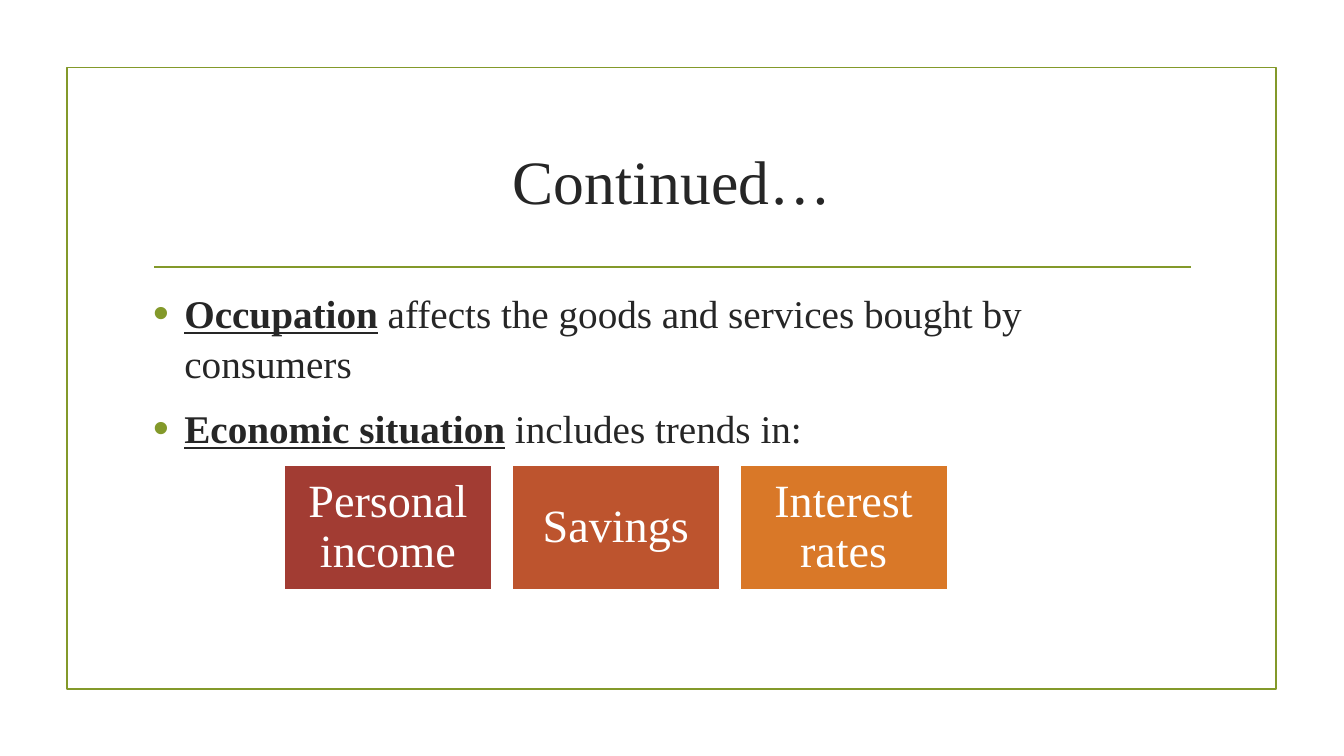
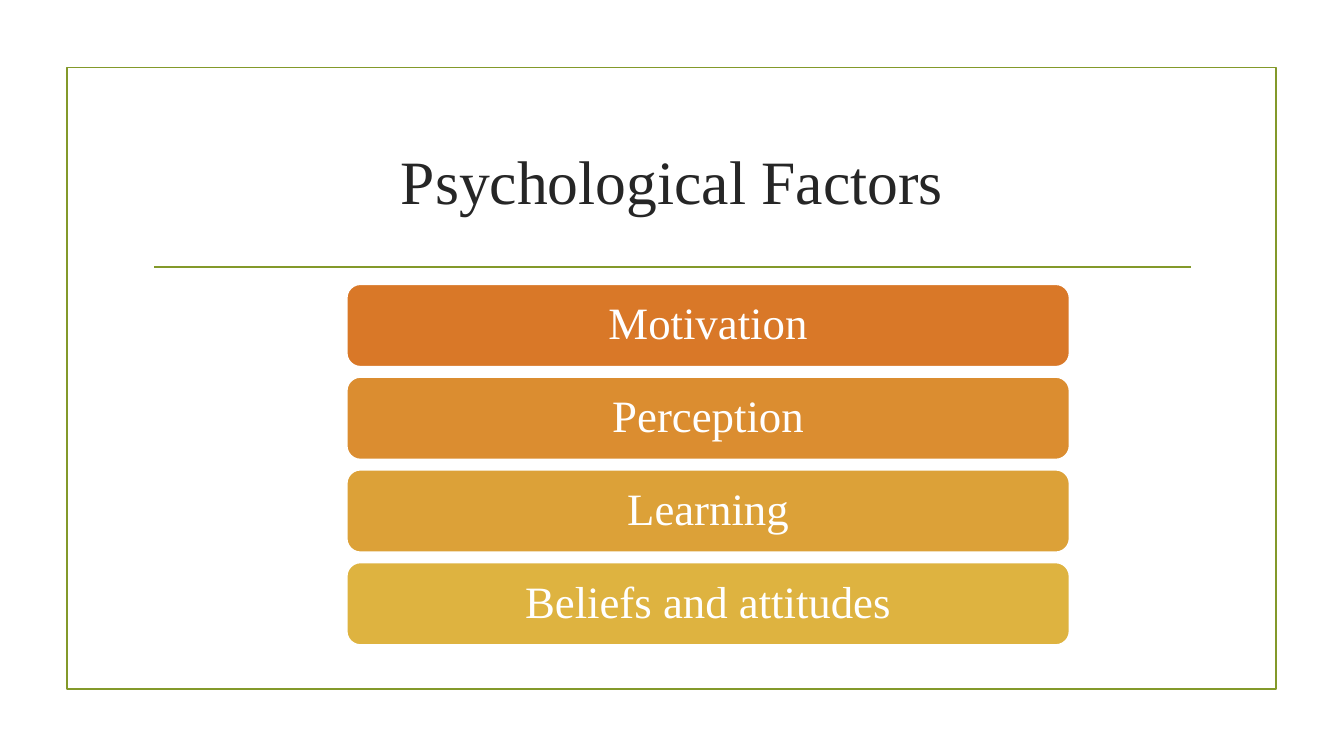
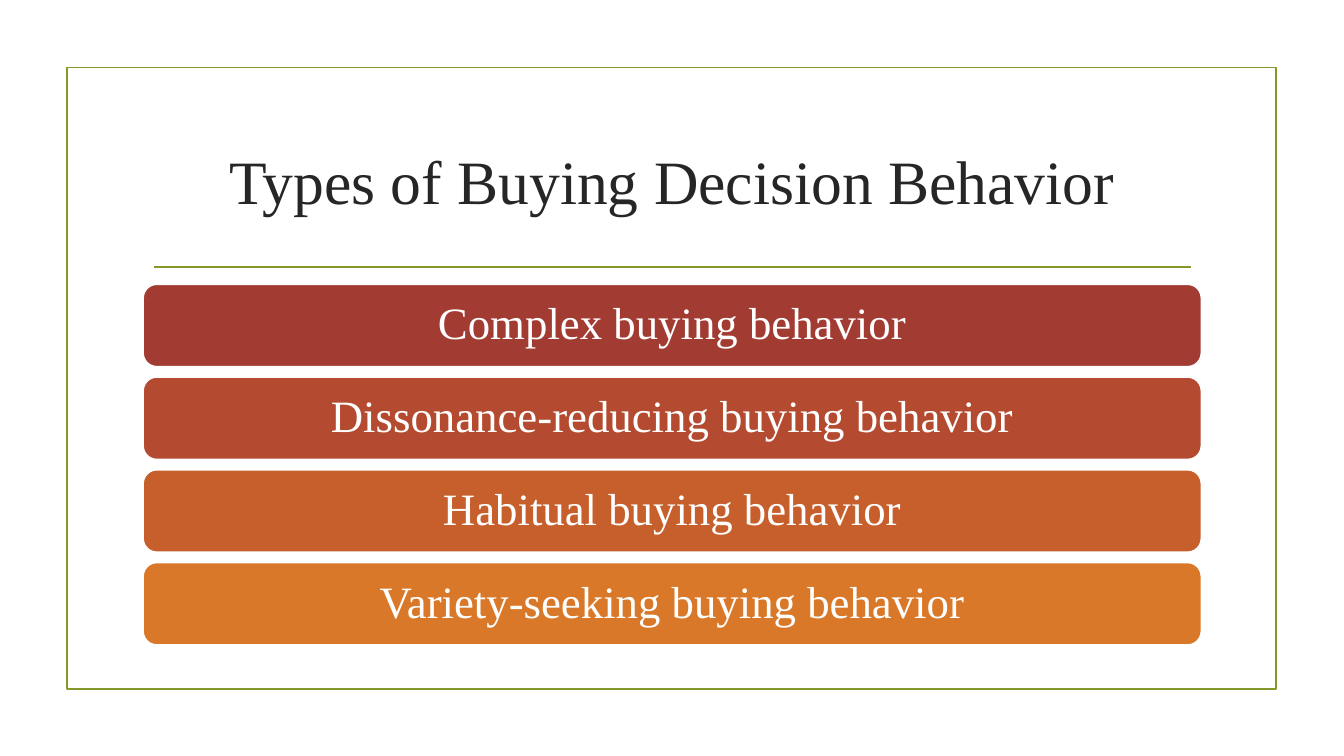
"""Build three slides on consumer buying behavior with shared framing and colored blocks."""
from dataclasses import dataclass

from lxml.etree import SubElement
from pptx import Presentation
from pptx.dml.color import RGBColor
from pptx.enum.shapes import MSO_CONNECTOR as Connector, MSO_SHAPE as Shape
from pptx.enum.text import MSO_ANCHOR as Anchor, MSO_AUTO_SIZE as AutoSize, PP_ALIGN as Align
from pptx.oxml.ns import qn
from pptx.util import Pt


@dataclass(frozen=True)
class Theme:
    font: str = "Times New Roman"
    text: str = "262626"
    accent: str = "83992A"
    white: str = "FFFFFF"
    red: str = "A23C33"
    brick: str = "B44B30"
    rust: str = "BD542E"
    copper: str = "C75F2C"
    orange: str = "D97828"
    amber: str = "DB8D30"
    gold: str = "DCA138"
    yellow: str = "DEB340"
    title_size: int = 44
    body_size: int = 28
    box_size: int = 33
    bar_size: int = 32
    line_width: float = 1.25


theme = Theme()


def add_run(paragraph, text, size, color, emphasis=False):
    run = paragraph.add_run()
    run.text = text
    run.font.name = theme.font
    run.font.size = Pt(size)
    run.font.color.rgb = RGBColor.from_string(color)
    run.font.bold = emphasis
    run.font.underline = emphasis


def place(shape, left, top, width, height):
    shape.left, shape.top = Pt(left), Pt(top)
    shape.width, shape.height = Pt(width), Pt(height)


content_left, content_width = 102.2, 756
bar_top, bar_height, bar_step = 203, 59, 66.25
box_left, box_top, box_width, box_height, box_step = 203, 332.6, 148.3, 88.6, 162.75

bullets = [
    ("Occupation", " affects the goods and services bought by consumers"),
    ("Economic situation", " includes trends in:"),
]
trends = [("Personal income", theme.red), ("Savings", theme.rust), ("Interest rates", theme.orange)]
factors = [
    ("Motivation", theme.orange),
    ("Perception", theme.amber),
    ("Learning", theme.gold),
    ("Beliefs and attitudes", theme.yellow),
]
behaviors = [
    ("Complex buying behavior", theme.red),
    ("Dissonance-reducing buying behavior", theme.brick),
    ("Habitual buying behavior", theme.copper),
    ("Variety-seeking buying behavior", theme.orange),
]

box_style = (Shape.RECTANGLE, theme.box_size, 10)
bar_style = (Shape.ROUNDED_RECTANGLE, theme.bar_size, 12)
box_grid = (box_left, box_top, box_width, box_height, box_step, 0)
factor_grid = (247.7, bar_top, 516.3, bar_height, 0, bar_step)
behavior_grid = (content_left, bar_top, content_width, bar_height, 0, bar_step)
pages = [
    ("Continued…", bullets, trends, box_style, box_grid),
    ("Psychological Factors", [], factors, bar_style, factor_grid),
    ("Types of Buying Decision Behavior", [], behaviors, bar_style, behavior_grid),
]

presentation = Presentation()
presentation.slide_width, presentation.slide_height = Pt(960), Pt(540)
content_layout, title_layout = presentation.slide_layouts[1], presentation.slide_layouts[5]

for title, items, blocks, style, grid in pages:
    slide = presentation.slides.add_slide(content_layout if items else title_layout)

    if title == pages[0][0]:
        frame = slide.shapes.add_shape(Shape.RECTANGLE, Pt(47.7), Pt(48.2), Pt(864), Pt(444))
        frame.shadow.inherit = False
        frame.fill.background()
        rule = slide.shapes.add_connector(
            Connector.STRAIGHT, Pt(110.2), Pt(190.8), Pt(850.4), Pt(190.8))
        SubElement(rule.element.spPr, qn("a:effectLst"))
        for position, shape in enumerate((frame, rule), start=2):
            shape.line.color.rgb = RGBColor.from_string(theme.accent)
            shape.line.width = Pt(theme.line_width)
            presentation.slide_master.shapes.element.insert(position, shape.element)

    heading = slide.shapes.title
    place(heading, content_left, 77, content_width, 103)
    heading.text_frame.auto_size = AutoSize.NONE
    heading.text_frame.vertical_anchor = Anchor.MIDDLE
    paragraph = heading.text_frame.paragraphs[0]
    paragraph.alignment = Align.CENTER
    add_run(paragraph, title, theme.title_size, theme.text)

    if items:
        body = slide.placeholders[1]
        place(body, content_left, 201.6, content_width, 261.4)
        body.text_frame.auto_size = AutoSize.NONE
    for index, (term, explanation) in enumerate(items):
        paragraph = body.text_frame.add_paragraph() if index else body.text_frame.paragraphs[0]
        properties = paragraph._p.get_or_add_pPr()
        properties.set("marL", str(Pt(22.3)))
        properties.set("indent", str(-Pt(22.3)))
        bullet_color = SubElement(properties, qn("a:buClr"))
        SubElement(bullet_color, qn("a:srgbClr"), val=theme.accent)
        SubElement(properties, qn("a:buSzPct"), val="115000")
        SubElement(properties, qn("a:buFont"), typeface="Arial")
        SubElement(properties, qn("a:buChar"), char="•")
        paragraph.line_spacing = 1.05
        paragraph.space_before = Pt(5.6 if index else 0)
        paragraph.space_after = Pt(6)
        add_run(paragraph, term, theme.body_size, theme.text, emphasis=True)
        add_run(paragraph, explanation, theme.body_size, theme.text)

    outline, size, inset = style
    left, top, width, height, step_x, step_y = grid
    for index, (label, color) in enumerate(blocks):
        block = slide.shapes.add_shape(
            outline, Pt(left + index * step_x), Pt(top + index * step_y), Pt(width), Pt(height))
        block.shadow.inherit = False
        block.fill.solid()
        block.fill.fore_color.rgb = RGBColor.from_string(color)
        block.line.color.rgb = RGBColor.from_string(theme.white)
        block.line.width = Pt(theme.line_width)
        text_frame = block.text_frame
        text_frame.word_wrap = True
        text_frame.vertical_anchor = Anchor.MIDDLE
        text_frame.margin_left = text_frame.margin_right = Pt(inset)
        text_frame.margin_top = text_frame.margin_bottom = Pt(inset)
        paragraph = text_frame.paragraphs[0]
        paragraph.alignment = Align.CENTER
        paragraph.line_spacing = 0.9
        add_run(paragraph, label, size, theme.white)

presentation.save("out.pptx")
